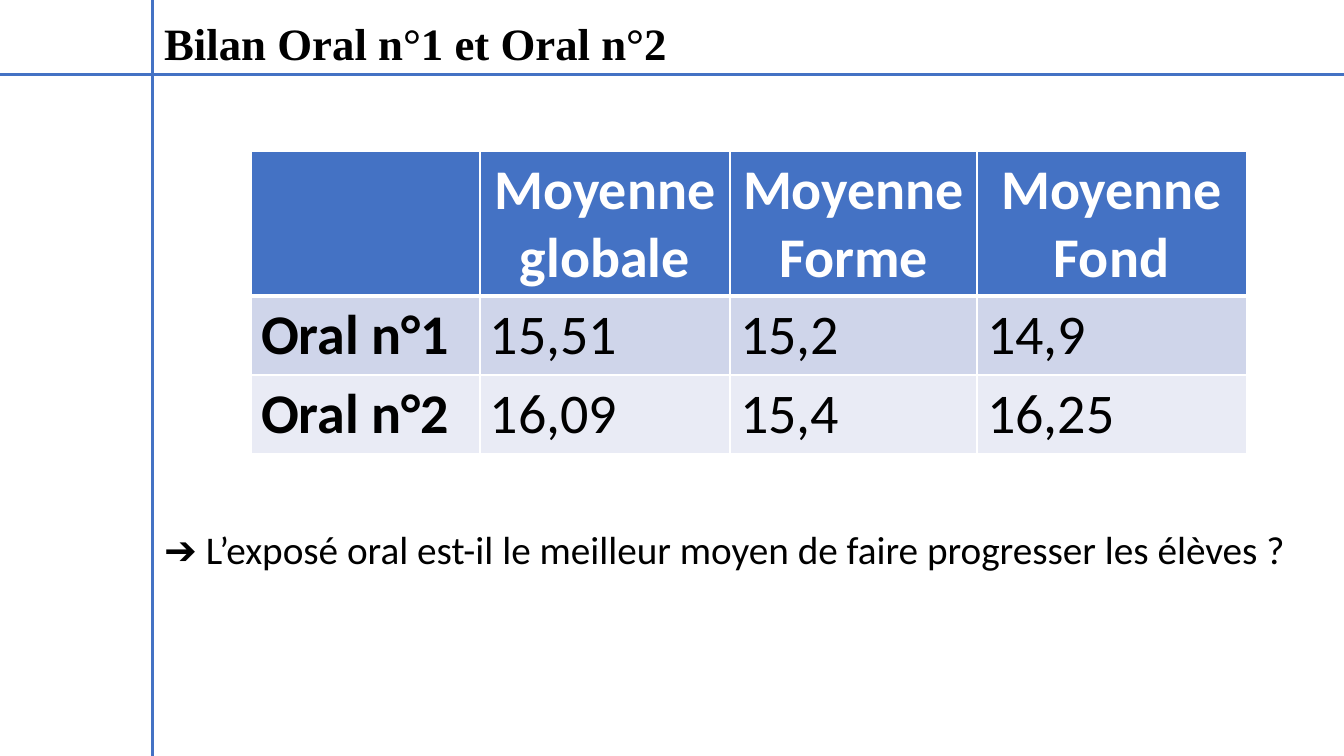
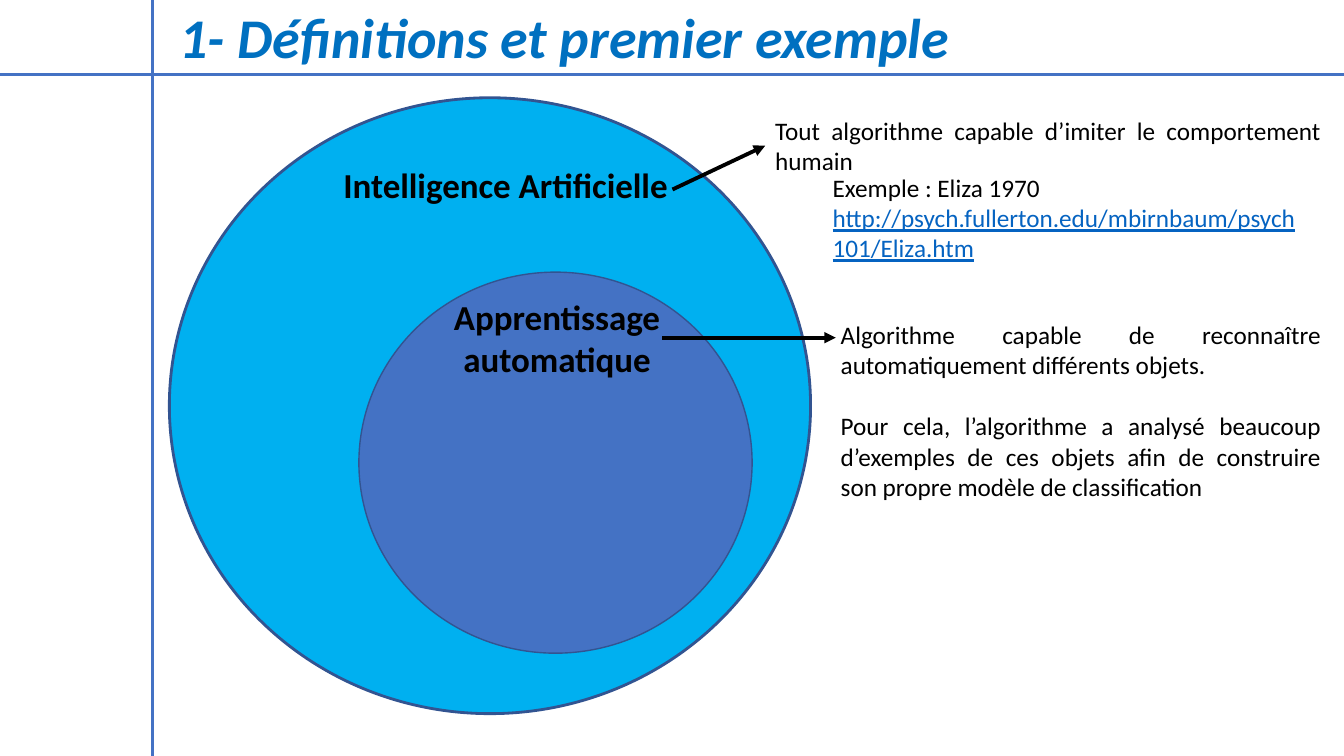
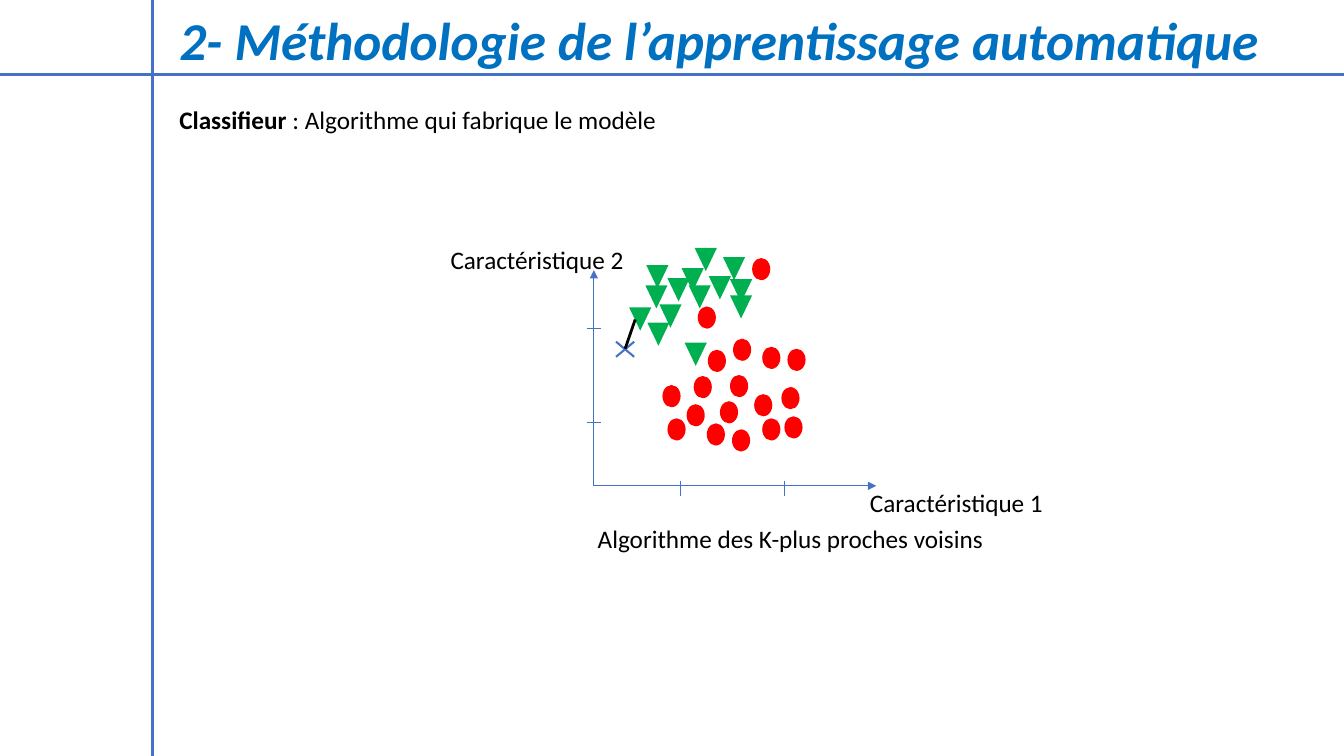
from dataclasses import dataclass
from typing import NamedTuple, Optional

import pptx
import pptx.dml.color
import pptx.enum.shapes
import pptx.enum.text
import pptx.oxml
import pptx.oxml.ns
import pptx.slide
import pptx.util
from pptx.util import Inches

RGBColor = pptx.dml.color.RGBColor
Shapes = pptx.enum.shapes.MSO_SHAPE
Align = pptx.enum.text.PP_ALIGN

BLUE = RGBColor(0x44, 0x72, 0xC4)
DARK_BLUE = RGBColor(0x32, 0x54, 0x91)
SKY = RGBColor(0x00, 0xB0, 0xF0)
TITLE_BLUE = RGBColor(0x00, 0x70, 0xC0)
LINK_BLUE = RGBColor(0x05, 0x63, 0xC1)
GREEN = RGBColor(0x00, 0xB0, 0x50)
RED = RGBColor(0xFF, 0x00, 0x00)
BLACK = RGBColor(0x00, 0x00, 0x00)
WHITE = RGBColor(0xFF, 0xFF, 0xFF)
BANDS = (RGBColor(0xCF, 0xD5, 0xEA), RGBColor(0xE9, 0xEB, 0xF5))

PAGE_WIDTH, PAGE_HEIGHT = 13.33, 7.5
RULE_X, RULE_Y = 1.51, 0.74


class Area(NamedTuple):
    left: float
    top: float
    width: float
    height: float

    def lengths(self) -> list:
        return [Inches(value) for value in self]


@dataclass(frozen=True)
class Style:
    size: float = 18
    color: RGBColor = BLACK
    bold: bool = False
    italic: bool = False
    font: str = "Calibri"
    align: Optional[Align] = None
    line_spacing: Optional[float] = None


@dataclass(frozen=True)
class Span:
    text: str
    bold: Optional[bool] = None
    color: Optional[RGBColor] = None
    underline: Optional[bool] = None


@dataclass(frozen=True)
class Marker:
    shape: Shapes
    color: RGBColor
    width: float
    height: float
    rotation: float
    corners: tuple


BODY = Style()
JUSTIFIED = Style(align=Align.JUSTIFY)
LABEL = Style(25, bold=True, align=Align.CENTER)
CHAPTER = Style(40, TITLE_BLUE, bold=True, italic=True, line_spacing=0.9)
LONG_CHAPTER = Style(38, TITLE_BLUE, bold=True, italic=True, line_spacing=0.9)
REVIEW_TITLE = Style(32, bold=True, font="Times New Roman",
                     align=Align.JUSTIFY, line_spacing=1.07)


# Shared drawing functions
def format_para(para, style: Style) -> None:
    para.alignment = style.align
    if style.line_spacing:
        para.line_spacing = style.line_spacing
    font = para.font
    font.name, font.size = style.font, pptx.util.Pt(style.size)
    font.bold, font.italic = style.bold, style.italic
    font.color.rgb = style.color


def add_text(page: pptx.slide.Slide, area: Area, style: Style,
             *paras: str | list[Span], gap: float = 0):
    box = page.shapes.add_textbox(*area.lengths())
    frame = box.text_frame
    frame.word_wrap = True
    for index, content in enumerate(paras):
        para = frame.add_paragraph() if index else frame.paragraphs[0]
        if index:
            para.space_before = pptx.util.Pt(gap)
        format_para(para, style)
        spans = [Span(content)] if isinstance(content, str) else content
        for span in spans:
            run = para.add_run()
            run.text = span.text
            if span.bold is not None:
                run.font.bold = span.bold
            if span.color is not None:
                run.font.color.rgb = span.color
            if span.underline is not None:
                run.font.underline = span.underline
    return box


def add_line(page: pptx.slide.Slide, start: tuple, end: tuple,
             color: RGBColor, width: float, arrow: bool = False):
    line = page.shapes.add_connector(
        pptx.enum.shapes.MSO_CONNECTOR.STRAIGHT,
        *[Inches(value) for value in (*start, *end)])
    line.line.color.rgb = color
    line.line.width = pptx.util.Pt(width)
    if arrow:
        head = pptx.oxml.parse_xml(
            f'<a:tailEnd {pptx.oxml.ns.nsdecls("a")} type="triangle"/>')
        line.line._get_or_add_ln().append(head)
    line._element.spPr.append(
        pptx.oxml.parse_xml(f'<a:effectLst {pptx.oxml.ns.nsdecls("a")}/>'))
    return line


def add_shape(page: pptx.slide.Slide, kind: Shapes, area: Area, fill: RGBColor,
              line_color: Optional[RGBColor] = None, line_width: float = 1):
    shape = page.shapes.add_shape(kind, *area.lengths())
    shape.shadow.inherit = False
    shape.fill.solid()
    shape.fill.fore_color.rgb = fill
    if line_color is None:
        shape.line.fill.background()
    else:
        shape.line.color.rgb = line_color
        shape.line.width = pptx.util.Pt(line_width)
    return shape


def add_page(deck, title: str, area: Area, style: Style) -> pptx.slide.Slide:
    page = deck.slides.add_slide(deck.slide_layouts[6])
    add_line(page, (0, RULE_Y), (PAGE_WIDTH, RULE_Y), BLUE, 2)
    add_line(page, (RULE_X, 0), (RULE_X, PAGE_HEIGHT), BLUE, 2)
    add_text(page, area, style, title)
    return page


def set_borders(cell, bottom: float) -> None:
    properties = cell._tc.get_or_add_tcPr()
    for side, points in (("L", 1), ("R", 1), ("T", 1), ("B", bottom)):
        properties.append(pptx.oxml.parse_xml(
            f'<a:ln{side} {pptx.oxml.ns.nsdecls("a")} w="{pptx.util.Pt(points)}">'
            f'<a:solidFill><a:srgbClr val="{WHITE}"/></a:solidFill></a:ln{side}>'))


# Slide 1: marks of both talks
def add_review(deck) -> None:
    page = add_page(deck, "Bilan Oral n°1 et Oral n°2",
                    Area(1.53, 0.07, 11.8, 0.64), REVIEW_TITLE)
    rows = (("", "Moyenne globale", "Moyenne Forme", "Moyenne Fond"),
            ("Oral n°1", "15,51", "15,2", "14,9"),
            ("Oral n°2", "16,09", "15,4", "16,25"))
    widths, heights = (2.27, 2.48, 2.45, 2.67), (1.44, 0.78, 0.78)
    area = Area(2.49, 1.5, sum(widths), sum(heights))
    table = page.shapes.add_table(len(rows), len(widths), *area.lengths()).table
    for column, width in zip(table.columns, widths):
        column.width = Inches(width)
    for row_index, (texts, height) in enumerate(zip(rows, heights)):
        table.rows[row_index].height = Inches(height)
        header = row_index == 0
        for column_index, text in enumerate(texts):
            cell = table.cell(row_index, column_index)
            set_borders(cell, bottom=3 if header else 1)
            cell.fill.solid()
            cell.fill.fore_color.rgb = BLUE if header else BANDS[row_index - 1]
            cell.text = text
            format_para(cell.text_frame.paragraphs[0], Style(
                40, WHITE if header else BLACK,
                bold=header or column_index == 0,
                align=Align.CENTER if header else None))
    add_text(page, Area(1.53, 5.16, 11.7, 0.57), Style(28),
             "➔ L’exposé oral est-il le meilleur moyen de faire progresser les élèves ?")


# Slide 2: nested definitions
def add_definitions(deck) -> None:
    page = add_page(deck, "1- Définitions et premier exemple",
                    Area(1.68, 0.05, 10.82, 0.64), CHAPTER)
    add_shape(page, Shapes.OVAL, Area(1.68, 0.97, 6.36, 6.11), SKY, DARK_BLUE, 2)
    add_text(page, Area(2.78, 1.57, 4.47, 0.52), LABEL, "Intelligence Artificielle")
    add_shape(page, Shapes.OVAL, Area(3.56, 2.7, 3.9, 3.78), BLUE, DARK_BLUE, 1)
    add_text(page, Area(3.79, 2.88, 3.47, 0.94), LABEL, "Apprentissage automatique")

    definition = add_text(page, Area(7.59, 1.09, 5.61, 0.71), JUSTIFIED,
                          "Tout algorithme capable d’imiter le comportement humain")
    arrow = add_line(page, (6.67, 1.88), (7.59, 1.44), BLACK, 2.75, arrow=True)
    arrow.end_connect(definition, 1)
    add_line(page, (6.57, 3.35), (8.29, 3.35), BLACK, 2.75, arrow=True)
    add_text(page, Area(8.16, 1.66, 4.79, 1.01), BODY, [
        Span("Exemple : Eliza 1970 "),
        Span("http://psych.fullerton.edu/mbirnbaum/psych101/Eliza.htm",
             color=LINK_BLUE, underline=True)])
    add_text(page, Area(8.24, 3.12, 4.96, 1.92), JUSTIFIED,
             "Algorithme capable de reconnaître automatiquement différents objets.",
             "Pour cela, l’algorithme a analysé beaucoup d’exemples de ces objets "
             "afin de construire son propre modèle de classification", gap=22)


# Slide 3: nearest neighbours
TRIANGLES = Marker(Shapes.ISOSCELES_TRIANGLE, GREEN, 0.22, 0.23, 180, (
    (7.24, 2.77), (7.17, 2.55), (6.42, 3.2), (6.62, 2.76), (6.76, 2.66),
    (6.24, 3.05), (6.54, 3.02), (7.03, 2.74), (6.4, 2.83), (6.89, 2.46),
    (6.41, 2.63), (6.83, 2.83), (7.24, 2.93), (6.79, 3.4)))
DOTS = Marker(Shapes.OVAL, RED, 0.18, 0.22, 0, (
    (7.02, 3.47), (7.81, 3.46), (7.56, 4.15), (7.26, 4.26), (7.48, 3.91),
    (7.14, 3.98), (7.78, 4.13), (7.24, 3.72), (6.81, 4.01), (6.92, 3.04),
    (7.27, 3.36), (7.75, 3.84), (7.56, 3.44), (7.01, 4.2), (6.88, 3.73),
    (6.57, 3.82), (6.62, 4.15), (7.46, 2.56)))


def add_method(deck) -> None:
    page = add_page(deck, "2- Méthodologie de l’apprentissage automatique",
                    Area(1.68, 0.1, 11.55, 0.64), LONG_CHAPTER)
    add_text(page, Area(1.68, 0.99, 7.36, 0.4), BODY,
             [Span("Classifieur", bold=True),
              Span(" : Algorithme qui fabrique le modèle")])

    # Axes and ticks
    origin_x, origin_y = 5.89, 4.82
    add_line(page, (origin_x, origin_y), (8.69, origin_y), BLUE, 0.5, arrow=True)
    add_line(page, (origin_x, origin_y), (origin_x, 2.68), BLUE, 0.5, arrow=True)
    for x in (6.75, 7.78):
        add_line(page, (x, 4.77), (x, 4.92), BLUE, 0.5)
    for y in (3.26, 4.19):
        add_line(page, (5.82, y), (5.96, y), BLUE, 0.5)

    # Samples of both classes
    for marker in (TRIANGLES, DOTS):
        for left, top in marker.corners:
            area = Area(left, top, marker.width, marker.height)
            add_shape(page, marker.shape, area, marker.color).rotation = marker.rotation

    # New sample and its nearest neighbour
    add_line(page, (6.11, 3.39), (6.29, 3.54), BLUE, 1.5)
    add_line(page, (6.29, 3.39), (6.11, 3.54), BLUE, 1.5)
    add_line(page, (6.2, 3.46), (6.3, 3.17), BLACK, 2)

    # Captions
    for area, caption in (
            (Area(8.53, 4.79, 1.98, 0.4), "Caractéristique 1"),
            (Area(5.83, 5.14, 4.15, 0.4), "Algorithme des K-plus proches voisins"),
            (Area(4.37, 2.37, 2.57, 0.4), "Caractéristique 2")):
        add_text(page, area, BODY, caption)


def main() -> None:
    deck = pptx.Presentation()
    deck.slide_width, deck.slide_height = Inches(PAGE_WIDTH), Inches(PAGE_HEIGHT)
    add_review(deck)
    add_definitions(deck)
    add_method(deck)
    deck.save("out.pptx")


if __name__ == "__main__":
    main()
